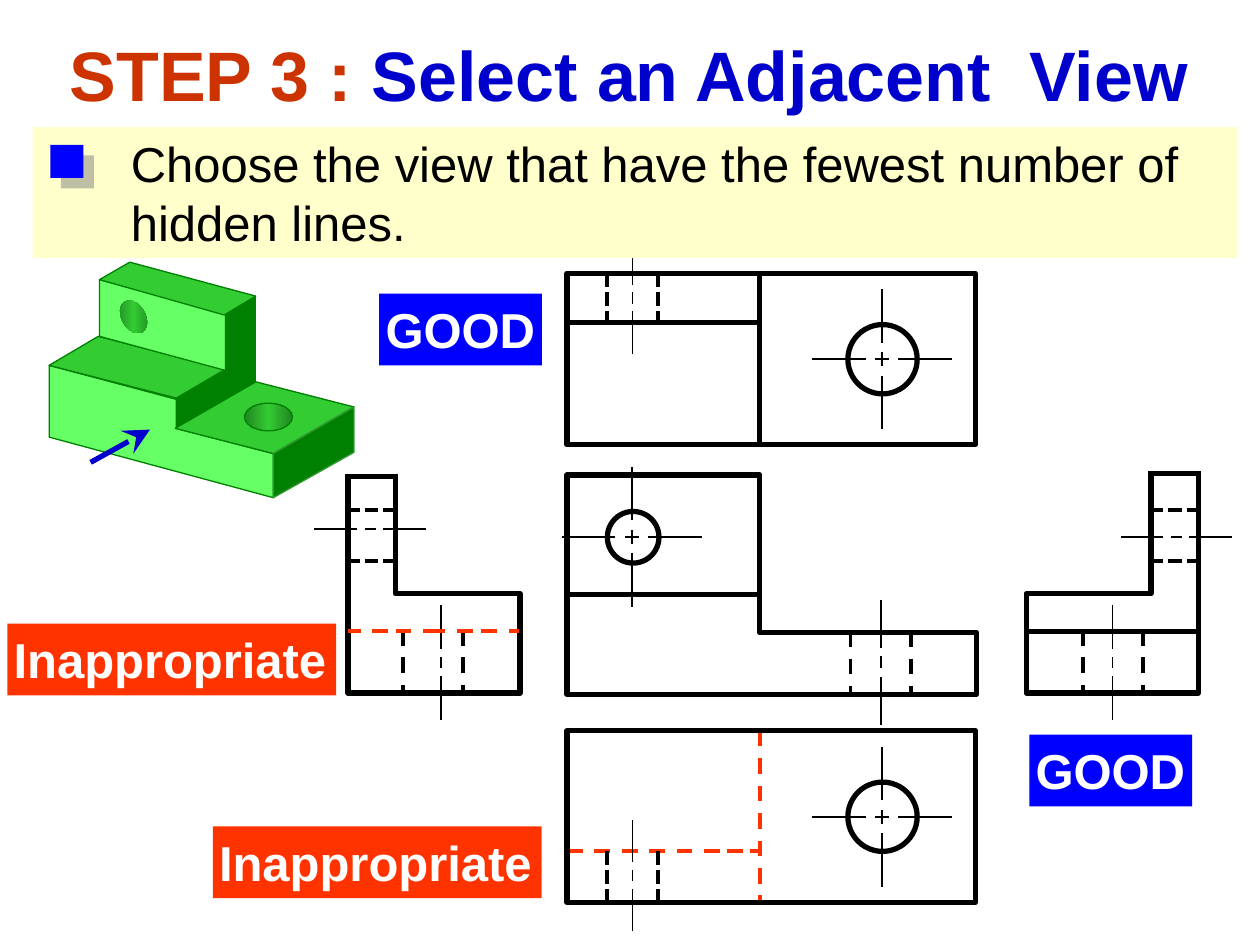
from copy import deepcopy

from lxml import etree
from pptx import Presentation
from pptx.dml.color import RGBColor
from pptx.enum import dml, shapes, text
from pptx.oxml import ns
from pptx.util import Pt

BLACK = RGBColor(0, 0, 0)
WHITE = RGBColor(255, 255, 255)
BLUE = RGBColor(0, 0, 255)
NAVY = RGBColor(0, 0, 0xCC)
RUST = RGBColor(0xCC, 0x33, 0)
RED = RGBColor(0xFF, 0x33, 0)
CREAM = RGBColor(0xFF, 0xFF, 0xCC)
LIGHT_GREEN = RGBColor(0x66, 0xFF, 0x66)
MID_GREEN = RGBColor(0x33, 0xCC, 0x33)
DARK_GREEN = RGBColor(0, 0x80, 0)
EDGE_GREEN = RGBColor(0x33, 0x99, 0x33)
HOLE_GREEN = RGBColor(0x21, 0x86, 0x21)

THICK, DASHED, THIN, HAIR = 3, 2.25, 1, 0.75
LABEL_WIDTHS = {"GOOD": 93, "Inappropriate": 188}


def write(para, words, size=28, color=BLACK, bold=False):
    """Add formatted words to a paragraph, breaking at each newline."""
    for index, line in enumerate(words.split("\n")):
        if index:
            para.add_line_break()
        span = para.add_run()
        span.text = line
        span.font.name = "Arial"
        span.font.size = Pt(size)
        span.font.bold = bold
        span.font.color.rgb = color


class Drawing:
    """Holds the style and the current slide of a technical drawing."""

    def __init__(self, page):
        self.page = page
        self.shapes = page.shapes

    def group(self):
        self.shapes = self.page.shapes.add_group_shape().shapes

    def ungroup(self):
        self.shapes = self.page.shapes

    def paint(self, shape, fill, edge, width):
        shape.shadow.inherit = False
        if fill is None:
            shape.fill.background()
        else:
            shape.fill.solid()
            shape.fill.fore_color.rgb = fill
        if edge is None:
            shape.line.fill.background()
        else:
            shape.line.color.rgb = edge
            shape.line.width = Pt(width)
        return shape

    def preset(self, kind, x, y, w, h, fill=None, edge=None, width=THICK):
        shape = self.shapes.add_shape(kind, Pt(x), Pt(y), Pt(w), Pt(h))
        return self.paint(shape, fill, edge, width)

    def outline(self, points, fill=None, edge=BLACK, width=THICK, close=True):
        corners = [(Pt(x), Pt(y)) for x, y in points]
        builder = self.shapes.build_freeform(*corners[0])
        builder.add_line_segments(corners[1:], close=close)
        return self.paint(builder.convert_to_shape(), fill, edge, width)

    def line(self, x1, y1, x2, y2, width=THICK, color=BLACK, dash=False, arrow=False):
        line = self.shapes.add_connector(
            shapes.MSO_CONNECTOR.STRAIGHT, Pt(x1), Pt(y1), Pt(x2), Pt(y2))
        line.line.color.rgb = color
        line.line.width = Pt(width)
        if dash:
            line.line.dash_style = dml.MSO_LINE.DASH
        props = line._element.spPr
        if arrow:
            etree.SubElement(props.find(ns.qn("a:ln")), ns.qn("a:tailEnd"),
                             type="stealth", w="lg", len="lg")
        etree.SubElement(props, ns.qn("a:effectLst"))

    def strokes(self, x, y, dx, dy, length=28.4, dash=8, pitch=10.8, color=BLACK):
        start = 0
        while start < length:
            end = min(start + dash, length)
            self.line(x + dx * start, y + dy * start, x + dx * end, y + dy * end, DASHED, color)
            start += pitch

    def axis(self, x, y, reach, dx, dy):
        for start, end in ((-0.1, 0.1), (-0.235, -1), (0.235, 1)):
            a, b = start * reach, end * reach
            self.line(x + dx * a, y + dy * a, x + dx * b, y + dy * b, THIN)

    def cross(self, x, y, reach=40):
        self.axis(x, y, reach, 0, 1)
        self.axis(x, y, reach, 1, 0)

    def circle(self, x, y, diameter):
        self.preset(shapes.MSO_SHAPE.OVAL, x - diameter / 2, y - diameter / 2,
                    diameter, diameter, edge=BLACK)

    def hole(self, x, y, w, h, angle, rotation=0, edge=None):
        shape = self.preset(shapes.MSO_SHAPE.OVAL, x, y, w, h, edge=edge, width=HAIR)
        shape.rotation = rotation
        shape.fill.gradient()
        shape.fill.gradient_angle = angle
        stops = shape._element.spPr.find(".//" + ns.qn("a:gsLst"))
        stops.insert(1, deepcopy(stops[0]))
        stops[1].set("pos", "50000")
        for stop, color in zip(shape.fill.gradient_stops, (HOLE_GREEN, MID_GREEN, HOLE_GREEN)):
            stop.color.rgb = color

    def plan_view(self, top, hole_top):
        self.outline([(324, top + 98), (324, top), (557.3, top), (557.3, top + 98)])
        for x in (347, 375.8):
            self.strokes(x, top + hole_top, 0, 1)
        self.axis(361.4, top + hole_top + 14.1, 31.8, 0, 1)
        self.circle(504.3, top + 49.1, 39.6)
        self.cross(504, top + 49.1)

    def side_view(self, outer, way, cap, bore, hole):
        def at(depth):
            return outer + way * depth

        for depth in (31.3, 65.9):
            self.line(at(depth), 360, at(depth), 395.3, DASHED, dash=True)
        self.axis(at(bore), 378.6, 32.8, 0, 1)
        self.line(at(-1.4), cap, at(28.4), cap)
        self.outline([(at(27), 270.7), (at(27), 339.3), (at(98.3), 339.3),
                      (at(98.3), 396), (outer, 396), (outer, 270.7)], close=False)
        for y in (291.6, 320.4):
            self.strokes(at(-1.4), y, way, 0)
        self.axis(at(12.6), hole, 31.8, 1, 0)

    def label(self, words, x, y, color):
        box = self.preset(shapes.MSO_SHAPE.RECTANGLE, x, y, LABEL_WIDTHS[words], 41, color)
        para = self.frame(box, 3.6, False)
        para.alignment = text.PP_ALIGN.LEFT
        write(para, words, color=WHITE, bold=True)

    def frame(self, box, side, wrap):
        frame = box.text_frame
        frame.word_wrap = wrap
        frame.auto_size = text.MSO_AUTO_SIZE.SHAPE_TO_FIT_TEXT
        frame.vertical_anchor = text.MSO_ANCHOR.TOP
        frame.margin_left = frame.margin_right = Pt(side)
        frame.margin_top = frame.margin_bottom = Pt(3.6)
        return frame.paragraphs[0]

    def title(self):
        box = self.page.shapes.title
        box.left, box.top, box.width, box.height = Pt(-0.7), Pt(14.4), Pt(720), Pt(55.4)
        para = self.frame(box, 7.2, True)
        para.alignment = text.PP_ALIGN.CENTER
        write(para, "STEP 3 : ", 40, RUST, True)
        write(para, "Select an Adjacent  View", 40, NAVY, True)

    def front_view(self):
        self.circle(361.8, 307, 29.5)
        self.outline([(324, 271.4), (324, 396.7), (558, 396.7),
                      (558, 361.4), (434.2, 361.4), (434.2, 271.4)])
        self.line(324, 339.8, 434.2, 339.8)
        for x in (486, 520.6):
            self.line(x, 360.7, x, 396, DASHED, dash=True)
        self.axis(503.3, 378.4, 35.6, 0, 1)
        self.cross(361, 306.7)

    def solid(self):
        faces = [
            (DARK_GREEN, None, [(100.1, 244.8), (100.1, 227.5), (128.9, 211), (128.9, 178.6),
                                (146.2, 169.2), (146.2, 218.2)]),
            (LIGHT_GREEN, DARK_GREEN, [(156.2, 284.4), (28.1, 249.8), (28.1, 208.8),
                                       (100.8, 228.2), (100.8, 244.8), (156.2, 259.2)]),
            (MID_GREEN, DARK_GREEN, [(28.1, 208.8), (56.2, 192.2), (128.9, 211), (100.8, 227.5)]),
            (LIGHT_GREEN, DARK_GREEN, [(128.9, 211.7), (56.9, 192.2), (56.9, 159.8), (128.9, 179.3)]),
            (MID_GREEN, DARK_GREEN, [(100.1, 244.8), (156.2, 259.2), (202.3, 232.6), (146.2, 218.2)]),
            (DARK_GREEN, EDGE_GREEN, [(156.2, 259.2), (156.2, 284.4), (202.3, 258.5), (202.3, 232.6)]),
            (MID_GREEN, DARK_GREEN, [(146.2, 169.2), (74.2, 149.8), (56.9, 159.8), (128.2, 180)]),
        ]
        for fill, edge, points in faces:
            self.outline(points, fill, edge, HAIR)
        self.line(51.8, 264.2, 85.7, 245.5, color=NAVY, arrow=True)
        self.hole(66.2, 174.2, 20.2, 13.7, 240, rotation=60)
        self.hole(139.7, 230.4, 27.4, 15.8, 180, edge=DARK_GREEN)

    def advice(self):
        self.preset(shapes.MSO_SHAPE.RECTANGLE, 18.7, 72.7, 688.3, 74.9, CREAM)
        box = self.shapes.add_textbox(Pt(67.7), Pt(72.7), Pt(612.7), Pt(74.9))
        write(self.frame(box, 7.2, False),
              "Choose the view that have the fewest number of\nhidden lines.")
        bullet = self.preset(shapes.MSO_SHAPE.RECTANGLE, 28.8, 82.8, 18.9, 18.9, BLUE)
        effects = bullet._element.spPr.find(ns.qn("a:effectLst"))
        shadow = etree.SubElement(effects, ns.qn("a:outerShdw"), blurRad="0",
                                  dist=str(Pt(8.5)), dir="2700000", algn="ctr", rotWithShape="0")
        tint = etree.SubElement(shadow, ns.qn("a:srgbClr"), val="808080")
        etree.SubElement(tint, ns.qn("a:alpha"), val="50000")


def main():
    """Build the slide and save it."""
    deck = Presentation()
    deck.slide_width, deck.slide_height = Pt(720), Pt(540)
    drawing = Drawing(deck.slides.add_slide(deck.slide_layouts[5]))
    drawing.title()

    drawing.group()
    drawing.front_view()
    drawing.ungroup()
    drawing.label("GOOD", 216.7, 167.8, BLUE)
    drawing.line(434.2, 417.6, 434.2, 515.5, DASHED, RED, dash=True)

    drawing.group()
    drawing.line(324, 184.3, 434.2, 184.3)
    drawing.line(434.2, 156.2, 434.2, 254.2)
    drawing.plan_view(156.2, 0)

    drawing.group()
    drawing.line(324, 486.4, 411.8, 486.4, DASHED, RED, dash=True)
    drawing.strokes(415.4, 486.4, 1, 0, 19.4, 9.4, 13, RED)
    drawing.ungroup()
    drawing.label("Inappropriate", 121.6, 472.3, RED)

    drawing.group()
    drawing.solid()
    drawing.group()
    drawing.plan_view(417.6, 68.6)

    drawing.group()
    drawing.line(586.1, 360.7, 684.7, 360.7)
    drawing.side_view(684.7, -1, 270.7, 49, 306.7)
    drawing.group()
    drawing.side_view(198.9, 1, 272.2, 53.1, 302.4)

    drawing.group()
    for start, end in ((221.8, 198.7), (226.1, 248.4), (275, 296.6), (270, 248.4)):
        drawing.line(start, 360.7, end, 360.7, DASHED, RED, dash=True)
    drawing.ungroup()
    drawing.label("Inappropriate", 4.2, 356.4, RED)
    drawing.label("GOOD", 588.2, 419.8, BLUE)
    drawing.advice()
    deck.save("out.pptx")


if __name__ == "__main__":
    main()
